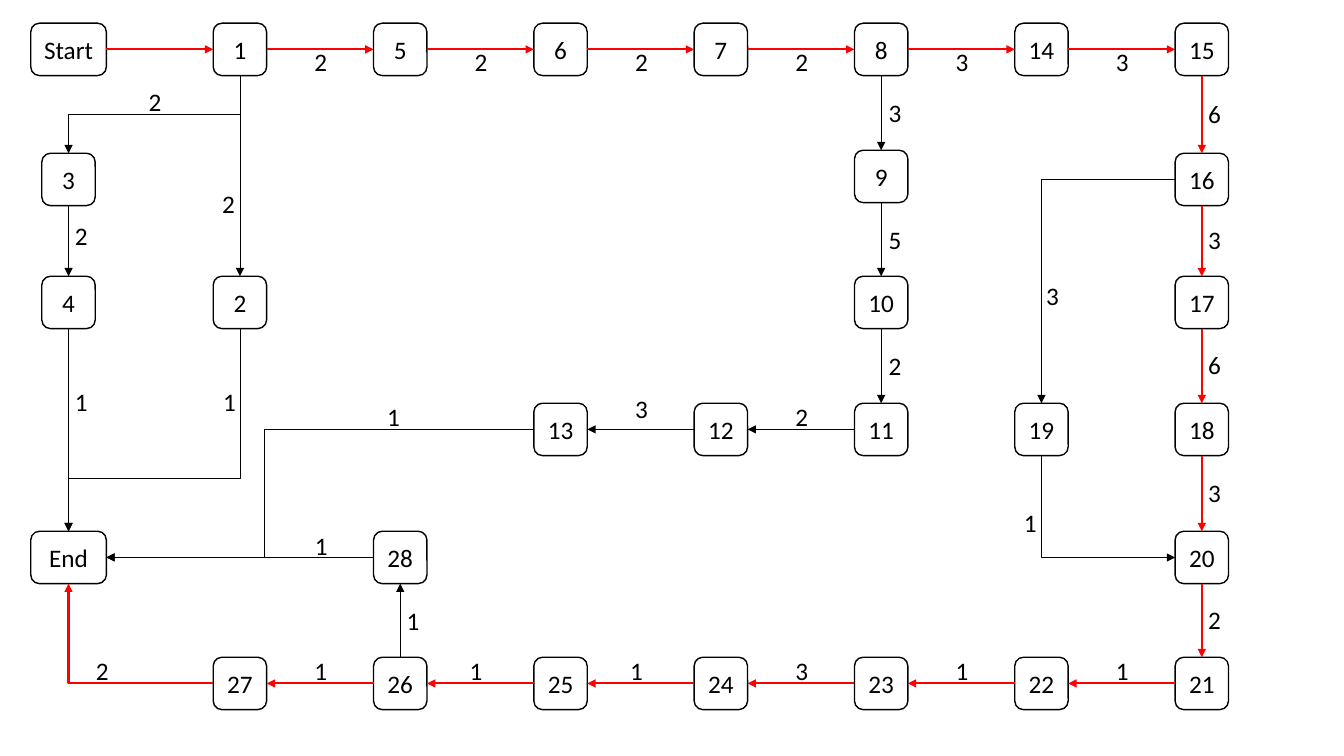
from dataclasses import dataclass
from itertools import pairwise

from lxml import etree
from pptx import Presentation
from pptx.dml.color import RGBColor
from pptx.enum.shapes import MSO_CONNECTOR, MSO_SHAPE
from pptx.enum.text import MSO_ANCHOR, MSO_AUTO_SIZE, PP_ALIGN
from pptx.oxml.ns import qn
from pptx.util import Inches, Pt

ROUNDED = MSO_SHAPE.ROUNDED_RECTANGLE
STRAIGHT, ELBOW = MSO_CONNECTOR.STRAIGHT, MSO_CONNECTOR.ELBOW
MIDDLE, CENTER = MSO_ANCHOR.MIDDLE, PP_ALIGN.CENTER
FIT_TEXT = MSO_AUTO_SIZE.SHAPE_TO_FIT_TEXT

BLACK = RGBColor(0x00, 0x00, 0x00)
WHITE = RGBColor(0xFF, 0xFF, 0xFF)
RED = RGBColor(0xFF, 0x00, 0x00)
FONT_FORMAT = {"name": "Calibri", "size": Pt(18)}

# Connection sites of a rounded rectangle
TOP, LEFT, BOTTOM, RIGHT = range(4)

# Grid: the first column stands apart, the others are evenly spaced
COLUMN_CENTERS = [0.68] + [2.38 + 1.59 * step for step in range(7)]
NODE_WIDTH, TERMINAL_WIDTH, NODE_HEIGHT = 0.53, 0.75, 0.52
LABEL_WIDTH, LABEL_HEIGHT = 0.31, 0.4


@dataclass
class Node:
    name: str
    column: int
    top: float
    width: float = NODE_WIDTH


@dataclass
class Link:
    source: str
    target: str
    leave: int
    enter: int
    weight: str = ""
    shift: tuple[float, float] = (0, 0)  # weight centre, from the link's middle
    critical: bool = False
    preset: str = ""  # bent preset; empty for a straight link
    bend: float = 0.5


def row(names: str, first_column: int, top: float) -> list[Node]:
    return [Node(name, first_column + step, top)
            for step, name in enumerate(names.split())]


def chain(names: str, weights: str, leave: int, enter: int,
          shift: tuple[float, float], critical: bool = False) -> list[Link]:
    return [Link(source, target, leave, enter, weight, shift, critical)
            for (source, target), weight
            in zip(pairwise(names.split()), weights.split())]


NODES = [
    Node("Start", 0, 0.23, TERMINAL_WIDTH),
    *row("1 5 6 7 8 14 15", 1, 0.23),
    Node("3", 0, 1.52), Node("9", 5, 1.49), Node("16", 7, 1.52),
    *row("4 2", 0, 2.74), Node("10", 5, 2.74), Node("17", 7, 2.74),
    *row("13 12 11 19 18", 3, 4.0),
    Node("End", 0, 5.27, TERMINAL_WIDTH), Node("28", 2, 5.27), Node("20", 7, 5.27),
    *row("27 26 25 24 23 22 21", 1, 6.52),
]

LINKS = [
    # Critical path
    Link("Start", "1", RIGHT, LEFT, critical=True),
    *chain("1 5 6 7 8 14 15", "2 2 2 2 3 3", RIGHT, LEFT, (0, 0.12), True),
    *chain("15 16 17 18 20 21", "6 3 6 3 2", BOTTOM, TOP, (0.12, -0.01), True),
    *chain("21 22 23 24", "1 1 3", LEFT, RIGHT, (0, -0.13), True),
    *chain("24 25 26", "1 1", LEFT, RIGHT, (-0.05, -0.13), True),
    *chain("26 27", "1", LEFT, RIGHT, (0, -0.13), True),
    Link("27", "End", LEFT, BOTTOM, "2", (-0.39, 0.37), True, "bentConnector2"),
    # Straight side paths
    *chain("26 28", "1", TOP, BOTTOM, (0.12, 0)),
    *chain("28 End", "1", LEFT, RIGHT, (0.8, -0.12)),
    *chain("1 2", "2", BOTTOM, TOP, (-0.12, 0.27)),
    *chain("3 4", "2", BOTTOM, TOP, (0.12, -0.05)),
    *chain("4 End", "1", BOTTOM, TOP, (0.12, -0.28)),
    *chain("8 9 10 11", "3 5 2", BOTTOM, TOP, (0.13, 0)),
    *chain("11 12", "2", LEFT, RIGHT, (0, -0.13)),
    *chain("12 13", "3", LEFT, RIGHT, (0, -0.21)),
    # Bent side paths
    Link("1", "3", BOTTOM, TOP, "2", (0, -0.13), preset="bentConnector3"),
    Link("16", "19", LEFT, TOP, "3", (-0.56, 0.04), preset="bentConnector2"),
    Link("19", "20", BOTTOM, LEFT, "1", (-0.78, 0.16), preset="bentConnector2"),
    Link("13", "End", LEFT, RIGHT, "1", (0.72, -0.76), preset="bentConnector3",
         bend=0.63),
    Link("2", "End", BOTTOM, TOP, "1", (0.74, -0.28), preset="bentConnector3",
         bend=0.74),
]


def write_text(shape, text: str, frame_format: dict, alignment=None) -> None:
    frame = shape.text_frame
    for name, value in frame_format.items():
        setattr(frame, name, value)
    paragraph = frame.paragraphs[0]
    paragraph.alignment = alignment
    run = paragraph.add_run()
    run.text = text
    for name, value in FONT_FORMAT.items():
        setattr(run.font, name, value)
    run.font.color.rgb = BLACK


def draw_node(slide, node: Node):
    left = COLUMN_CENTERS[node.column] - node.width / 2
    shape = slide.shapes.add_shape(ROUNDED, Inches(left), Inches(node.top),
                                   Inches(node.width), Inches(NODE_HEIGHT))
    shape.shadow.inherit = False
    shape.fill.solid()
    shape.fill.fore_color.rgb = WHITE
    shape.line.color.rgb = BLACK
    shape.line.width = Pt(1)
    write_text(shape, node.name, {"vertical_anchor": MIDDLE, "word_wrap": True}, CENTER)
    return shape


def turn_down(connector) -> None:
    """Make a bent connector leave its source downwards."""
    middle_x = (connector.begin_x + connector.end_x) // 2
    middle_y = (connector.begin_y + connector.end_y) // 2
    goes_right = connector.end_x > connector.begin_x
    width, height = connector.height, connector.width
    connector.left, connector.top = middle_x - width // 2, middle_y - height // 2
    connector.width, connector.height = width, height
    transform = connector._element.spPr.find(qn("a:xfrm"))
    transform.attrib.pop("flipH", None)
    transform.set("rot", "5400000")
    if goes_right:
        transform.set("flipV", "1")


def bend_connector(connector, link: Link) -> None:
    geometry = connector._element.spPr.find(qn("a:prstGeom"))
    geometry.set("prst", link.preset)
    if link.bend != 0.5:
        guide = etree.SubElement(geometry.find(qn("a:avLst")), qn("a:gd"))
        guide.set("name", "adj1")
        guide.set("fmla", f"val {round(link.bend * 100000)}")
    if link.leave == BOTTOM:
        turn_down(connector)


def draw_link(slide, link: Link, shapes: dict) -> tuple[int, int]:
    """Draw the arrow and return its middle."""
    connector = slide.shapes.add_connector(ELBOW if link.preset else STRAIGHT, 0, 0, 0, 0)
    connector.begin_connect(shapes[link.source], link.leave)
    connector.end_connect(shapes[link.target], link.enter)
    middle = ((connector.begin_x + connector.end_x) // 2,
              (connector.begin_y + connector.end_y) // 2)
    if link.preset:
        bend_connector(connector, link)
    connector.line.color.rgb = RED if link.critical else BLACK
    connector.line.width = Pt(1.5 if link.critical else 0.5)
    arrowhead = etree.SubElement(connector.line._get_or_add_ln(), qn("a:tailEnd"))
    arrowhead.set("type", "triangle")
    etree.SubElement(connector._element.spPr, qn("a:effectLst"))
    return middle


def draw_weight(slide, link: Link, middle: tuple[int, int]) -> None:
    left = middle[0] + Inches(link.shift[0] - LABEL_WIDTH / 2)
    top = middle[1] + Inches(link.shift[1] - LABEL_HEIGHT / 2)
    box = slide.shapes.add_textbox(left, top, Inches(LABEL_WIDTH), Inches(LABEL_HEIGHT))
    write_text(box, link.weight, {"word_wrap": False, "auto_size": FIT_TEXT})


def main() -> None:
    presentation = Presentation()
    presentation.slide_width, presentation.slide_height = Inches(13.33), Inches(7.5)
    slide = presentation.slides.add_slide(presentation.slide_layouts[6])
    shapes = {node.name: draw_node(slide, node) for node in NODES}
    middles = [draw_link(slide, link, shapes) for link in LINKS]
    for link, middle in zip(LINKS, middles):
        if link.weight:
            draw_weight(slide, link, middle)
    presentation.save("out.pptx")


if __name__ == "__main__":
    main()
